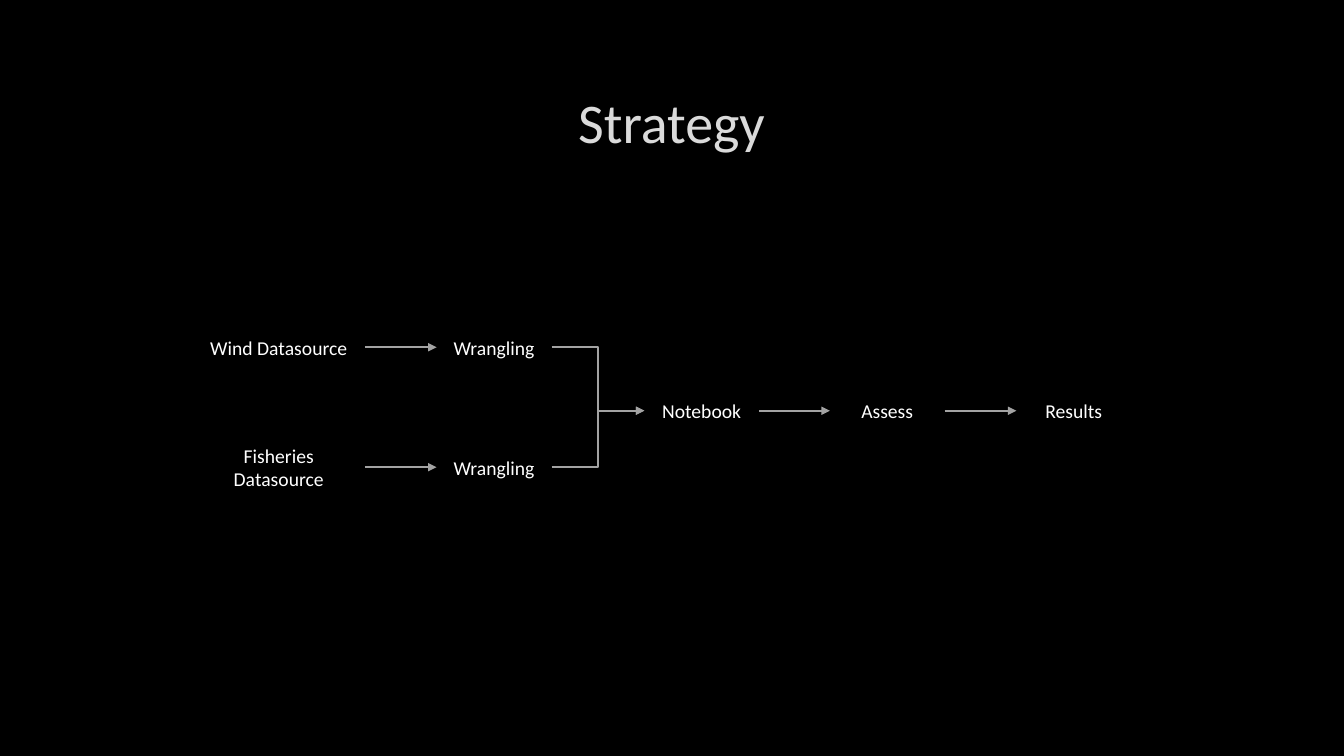
from dataclasses import dataclass

import pptx
import pptx.dml.color
import pptx.enum.shapes
import pptx.enum.text
import pptx.oxml
import pptx.oxml.ns
import pptx.shapes.autoshape
import pptx.shapes.connector
import pptx.slide
import pptx.util
from pptx.util import Inches

CONNECTOR = pptx.enum.shapes.MSO_CONNECTOR
RIGHT_SIDE, LEFT_SIDE = 3, 1


@dataclass(frozen=True)
class Theme:
    font: str = "Calibri"
    background: str = "000000"
    title: str = "DADADA"
    label: str = "FFFFFF"
    arrow: str = "A3A3A3"
    title_size: float = 40
    label_size: float = 14
    line_width: float = 1.25


@dataclass(frozen=True)
class Step:
    key: str
    label: str
    left: float
    top: float
    width: float = 1.14
    height: float = 1.03


@dataclass(frozen=True)
class Flow:
    source: str
    target: str
    kind: CONNECTOR = CONNECTOR.STRAIGHT


THEME = Theme()
WIND_TOP, FISHERIES_TOP, MERGED_TOP = 2.93, 4.12, 3.56

STEPS = [
    Step("wind", "Wind Datasource", 1.91, WIND_TOP, width=1.71),
    Step("fisheries", "Fisheries Datasource", 1.91, FISHERIES_TOP, width=1.71),
    Step("wind wrangling", "Wrangling", 4.33, WIND_TOP),
    Step("fisheries wrangling", "Wrangling", 4.33, FISHERIES_TOP),
    Step("notebook", "Notebook", 6.39, MERGED_TOP),
    Step("assess", "Assess", 8.23, MERGED_TOP),
    Step("results", "Results", 10.08, MERGED_TOP),
]

FLOWS = [
    Flow("wind wrangling", "notebook", CONNECTOR.ELBOW),
    Flow("fisheries wrangling", "notebook", CONNECTOR.ELBOW),
    Flow("wind", "wind wrangling"),
    Flow("fisheries", "fisheries wrangling"),
    Flow("notebook", "assess"),
    Flow("assess", "results"),
]


def rgb(value: str) -> pptx.dml.color.RGBColor:
    return pptx.dml.color.RGBColor.from_string(value)


def write_text(shape: pptx.shapes.autoshape.Shape, text: str, *, size: float, color: str) -> None:
    """Fill the shape with one wrapped paragraph, centred both ways."""
    frame = shape.text_frame
    frame.word_wrap = True
    frame.vertical_anchor = pptx.enum.text.MSO_ANCHOR.MIDDLE
    paragraph = frame.paragraphs[0]
    paragraph.text = text
    paragraph.alignment = pptx.enum.text.PP_ALIGN.CENTER
    paragraph.font.name = THEME.font
    paragraph.font.size = pptx.util.Pt(size)
    paragraph.font.color.rgb = rgb(color)


def add_title(slide: pptx.slide.Slide, text: str) -> None:
    box = slide.shapes.add_textbox(Inches(1), Inches(0.67), Inches(11.32), Inches(1.06))
    write_text(box, text, size=THEME.title_size, color=THEME.title)


def add_step(slide: pptx.slide.Slide, step: Step) -> pptx.shapes.autoshape.Shape:
    shape = slide.shapes.add_shape(
        pptx.enum.shapes.MSO_SHAPE.RECTANGLE,
        Inches(step.left), Inches(step.top), Inches(step.width), Inches(step.height),
    )
    shape.shadow.inherit = False
    shape.fill.solid()
    shape.fill.fore_color.rgb = rgb(THEME.background)
    shape.line.color.rgb = rgb(THEME.background)
    shape.line.width = pptx.util.Pt(THEME.line_width)
    write_text(shape, step.label, size=THEME.label_size, color=THEME.label)
    return shape


def add_flow(
    slide: pptx.slide.Slide,
    kind: CONNECTOR,
    source: pptx.shapes.autoshape.Shape,
    target: pptx.shapes.autoshape.Shape,
) -> pptx.shapes.connector.Connector:
    """Join the source's right side to the target's left side with an arrow."""
    connector = slide.shapes.add_connector(kind, 0, 0, 0, 0)
    connector.begin_connect(source, RIGHT_SIDE)
    connector.end_connect(target, LEFT_SIDE)
    connector.line.color.rgb = rgb(THEME.arrow)
    connector.line.width = pptx.util.Pt(THEME.line_width)
    namespace = pptx.oxml.ns.nsdecls("a")
    connector.line._get_or_add_ln().append(
        pptx.oxml.parse_xml(f'<a:tailEnd {namespace} type="triangle"/>')
    )
    connector._element.spPr.append(pptx.oxml.parse_xml(f"<a:effectLst {namespace}/>"))
    return connector


def main() -> None:
    presentation = pptx.Presentation()
    presentation.slide_width = Inches(13.33)
    presentation.slide_height = Inches(7.5)
    slide = presentation.slides.add_slide(presentation.slide_layouts[6])
    slide.background.fill.solid()
    slide.background.fill.fore_color.rgb = rgb(THEME.background)

    add_title(slide, "Strategy")
    shapes = {step.key: add_step(slide, step) for step in STEPS}
    for flow in FLOWS:
        add_flow(slide, flow.kind, shapes[flow.source], shapes[flow.target])
    presentation.save("out.pptx")


if __name__ == "__main__":
    main()
